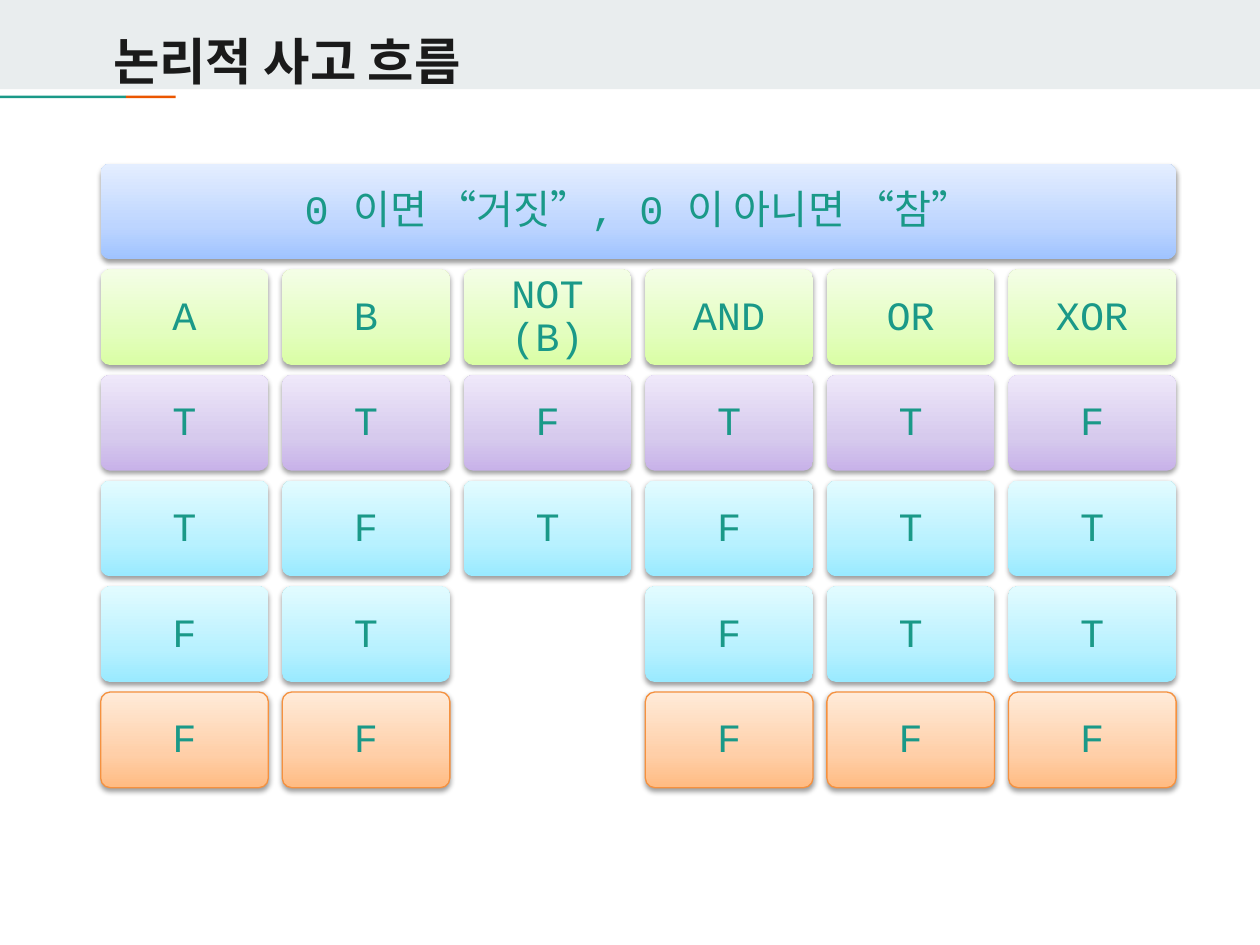
"""Build a slide with a truth table of the logical operators."""
from copy import deepcopy

from lxml import etree
from pptx import Presentation
from pptx.dml.color import RGBColor
from pptx.enum.shapes import MSO_SHAPE
from pptx.enum.text import MSO_ANCHOR, MSO_AUTO_SIZE, PP_ALIGN
from pptx.oxml.ns import qn
from pptx.util import Cm, Pt

RECTANGLE, ROUNDED = MSO_SHAPE.RECTANGLE, MSO_SHAPE.ROUNDED_RECTANGLE
MIDDLE, NO_AUTOFIT = MSO_ANCHOR.MIDDLE, MSO_AUTO_SIZE.NONE
LEFT, CENTER = PP_ALIGN.LEFT, PP_ALIGN.CENTER

TITLE = "논리적 사고 흐름"
BANNER = "0 이면 “거짓”, 0 이 아니면 “참”"
ROWS = [
    ("lime", ["A", "B", "NOT (B)", "AND", "OR", "XOR"]),
    ("purple", ["T", "T", "F", "T", "T", "F"]),
    ("cyan", ["T", "F", "T", "F", "T", "T"]),
    ("cyan", ["F", "T", None, "F", "T", "T"]),
    ("orange", ["F", "F", None, "F", "F", "F"]),
]
COLORS = {"title": "1A1A1A", "band": "E9EDEE", "green": "1A9988",
          "accent": "EB5600", "outline": "F5913F", "shadow": "000000"}
GRADIENTS = {
    "blue": ("9FC3FF", "BDD5FF", "E4EEFF"),
    "lime": ("DAFEA4", "E3FEBF", "F4FEE6"),
    "purple": ("C8B2E9", "D6CAED", "EFE8FA"),
    "cyan": ("99EAFF", "B8F1FF", "E2FBFF"),
    "orange": ("FFBB82", "FFCFA8", "FFEBD9"),
}
HEADER_BARS = [
    ("band", 0, 0, 25.4, 1.8),
    ("green", 0, 1.93, 2.54, 0.05),
    ("accent", 2.54, 1.93, 1, 0.05),
]
TITLE_FONT = {"name": "Manrope", "size": Pt(28.8), "bold": True}
CELL_FONT = {"name": "Courier New", "size": Pt(23), "bold": False}
TITLE_PARAGRAPH = {"alignment": LEFT}
CELL_PARAGRAPH = {"alignment": CENTER, "line_spacing": 0.9}
TITLE_FRAME = {"vertical_anchor": MIDDLE, "auto_size": NO_AUTOFIT, "word_wrap": True}
CELL_FRAME = dict(TITLE_FRAME, margin_left=Cm(0.3), margin_right=Cm(0.3),
                  margin_top=Cm(0.3), margin_bottom=Cm(0.3))
GRID_LEFT, GRID_TOP = 2.03, 3.3
CELL_WIDTH, CELL_HEIGHT = 3.38, 1.93
COLUMN_STEP, ROW_STEP = 3.66, 2.13


def set_attributes(target, values):
    for name, value in values.items():
        setattr(target, name, value)


def write_text(shape, text, color, frame_format, paragraph_format, font_format):
    frame = shape.text_frame
    frame.text = text
    set_attributes(frame, frame_format)
    paragraph = frame.paragraphs[0]
    set_attributes(paragraph, paragraph_format)
    font = paragraph.runs[0].font
    set_attributes(font, font_format)
    font.color.rgb = RGBColor.from_string(COLORS[color])


def fill_gradient(shape, colors):
    shape.fill.gradient()
    shape.fill.gradient_angle = 90
    stop_list = shape.element.spPr.find(".//" + qn("a:gsLst"))
    stop_list.insert(1, deepcopy(stop_list[0]))
    for stop, position, color in zip(shape.fill.gradient_stops, (0, 0.35, 1), colors):
        stop.position = position
        stop.color.rgb = RGBColor.from_string(color)


def add_shadow(shape):
    shape.shadow.inherit = False
    effects = shape.element.spPr.find(qn("a:effectLst"))
    shadow = etree.SubElement(effects, qn("a:outerShdw"), blurRad=str(Pt(3.1)),
                              dist=str(Pt(1.6)), dir="5400000", rotWithShape="0")
    color = etree.SubElement(shadow, qn("a:srgbClr"), val=COLORS["shadow"])
    etree.SubElement(color, qn("a:alpha"), val="38000")


def add_cell(slide, text, gradient, column, row, width=CELL_WIDTH):
    cell = slide.shapes.add_shape(
        ROUNDED, Cm(GRID_LEFT + column * COLUMN_STEP), Cm(GRID_TOP + row * ROW_STEP),
        Cm(width), Cm(CELL_HEIGHT))
    cell.adjustments[0] = 0.1
    fill_gradient(cell, GRADIENTS[gradient])
    if gradient == "orange":
        cell.line.color.rgb = RGBColor.from_string(COLORS["outline"])
        cell.line.width = Pt(0.75)
    else:
        cell.line.fill.background()
    add_shadow(cell)
    write_text(cell, text, "green", CELL_FRAME, CELL_PARAGRAPH, CELL_FONT)


def add_header(slide):
    title = slide.shapes.title
    set_attributes(title, {"left": Cm(2.03), "top": Cm(0.23),
                           "width": Cm(21.36), "height": Cm(1.98)})
    write_text(title, TITLE, "title", TITLE_FRAME, TITLE_PARAGRAPH, TITLE_FONT)
    for color, *box in HEADER_BARS:
        bar = slide.shapes.add_shape(RECTANGLE, *map(Cm, box))
        bar.fill.solid()
        bar.fill.fore_color.rgb = RGBColor.from_string(COLORS[color])
        bar.line.fill.background()
        bar.shadow.inherit = False
        title.element.addprevious(bar.element)


def main():
    presentation = Presentation()
    presentation.slide_width, presentation.slide_height = Cm(25.4), Cm(19.05)
    slide = presentation.slides.add_slide(presentation.slide_layouts[5])
    add_header(slide)
    banner_width = (len(ROWS[0][1]) - 1) * COLUMN_STEP + CELL_WIDTH
    add_cell(slide, BANNER, "blue", 0, 0, banner_width)
    for row, (gradient, values) in enumerate(ROWS, start=1):
        for column, value in enumerate(values):
            if value:
                add_cell(slide, value, gradient, column, row)
    presentation.save("out.pptx")


if __name__ == "__main__":
    main()
